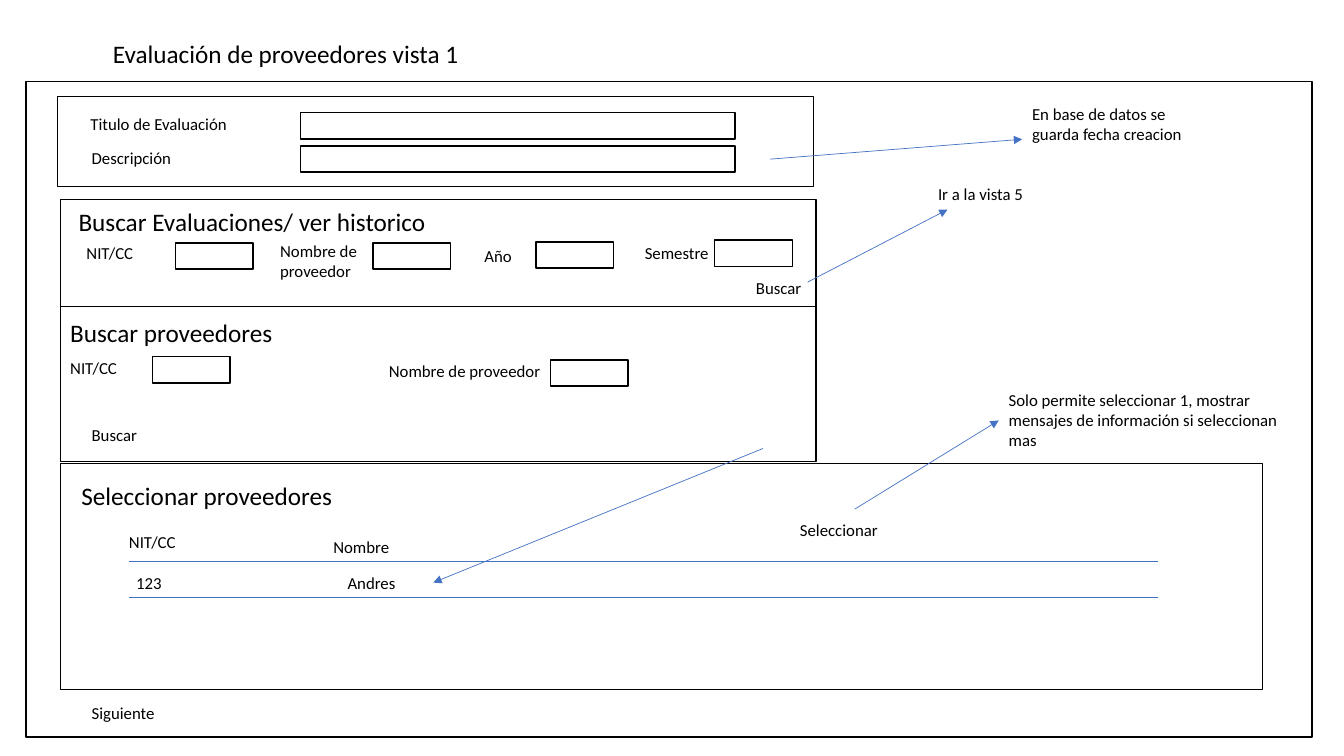
from dataclasses import dataclass
from typing import Optional

from lxml import etree
from pptx import Presentation
from pptx.dml.color import RGBColor
from pptx.enum import shapes, text
from pptx.oxml.ns import qn
from pptx.util import Cm, Pt

COLORS = {"ink": "000000", "accent": "4472C4"}
FONT = "Calibri"
HEADING, BODY = 18, 12
LINE_HEIGHT = {HEADING: 0.77, BODY: 0.51}
INSETS = 0.26
FIELD_HEIGHT = 0.66
SHORT_FIELD, LONG_FIELD = 1.96, 10.95
ROW_LEFT, ROW_RIGHT = 3.25, 29.18


@dataclass
class Frame:
    left: float
    top: float
    width: float
    height: float = FIELD_HEIGHT


@dataclass
class Label:
    words: str
    left: float
    top: float
    width: float = 3.56
    size: int = BODY
    lines: int = 1


@dataclass
class Line:
    x1: float
    y1: float
    x2: float
    y2: float
    arrow: bool = True
    target: Optional[str] = None


TITLE = Label("Evaluación de proveedores vista 1", 2.59, 0.84, 11.94, HEADING)
SINGLE_CHOICE = "Solo permite seleccionar 1, mostrar mensajes de información si seleccionan mas"

PANELS = [
    Frame(0.66, 2.06, 32.41, 16.51),
    Frame(1.45, 2.44, 19.05, 2.26),
    Frame(1.52, 5.03, 19.05, 2.69),
    Frame(1.52, 7.72, 19.05, 3.91),
    Frame(1.52, 11.68, 30.3, 5.69),
]
FIELDS = [Frame(7.57, top, LONG_FIELD) for top in (2.84, 3.68)] + [
    Frame(left, top, SHORT_FIELD)
    for left, top in ((4.42, 6.12), (9.4, 6.12), (13.51, 6.1), (18.01, 6.05),
                      (3.84, 8.99), (13.87, 9.07))
]
LABELS = [
    Label("Titulo de Evaluación", 2.03, 2.74, 4.72),
    Label("Descripción", 2.06, 3.61, 4.72),
    Label("Buscar Evaluaciones/ ver historico", 1.73, 5.08, 12.75, HEADING),
    Label("NIT/CC", 1.93, 5.99),
    Label("Nombre de proveedor", 6.81, 5.94, lines=2),
    Label("Año", 11.96, 6.07),
    Label("Semestre", 16, 5.99, 2.31),
    Label("Buscar", 18.8, 6.88),
    Label("Buscar proveedores", 1.52, 7.87, 7.9, HEADING),
    Label("NIT/CC", 1.52, 8.89),
    Label("Nombre de proveedor", 9.55, 8.97, 5.54),
    Label("Buscar", 2.06, 10.59),
    Label("Seleccionar proveedores", 1.8, 11.99, 7.9, HEADING),
    Label("NIT/CC", 3, 13.28),
    Label("Nombre", 8.15, 13.39),
    Label("Seleccionar", 19.91, 12.98, 4.7),
    Label("123", 3.18, 14.3),
    Label("Andres", 8.51, 14.3),
    Label("Siguiente", 2.06, 17.58),
    Label("En base de datos se guarda fecha creacion", 25.76, 2.49, 4.72, lines=2),
    Label("Ir a la vista 5", 23.39, 4.5, 7.49),
    Label(SINGLE_CHOICE, 25.17, 9.7, 7.49, lines=3),
]
LINES = [Line(ROW_LEFT, y, ROW_RIGHT, y, arrow=False) for y in (14.15, 15.06)] + [
    Line(19.41, 4.01, 25.76, 3.51),
    Line(20.35, 7.11, 23.88, 5.28),
    Line(19.23, 11.3, 10.92, 14.68),
    Line(21.54, 12.83, 25.17, 10.6, target=SINGLE_CHOICE),
]


def color(name: str) -> RGBColor:
    return RGBColor.from_string(COLORS[name])


def draw_frame(slide, frame: Frame) -> None:
    box = slide.shapes.add_shape(
        shapes.MSO_SHAPE.RECTANGLE,
        Cm(frame.left), Cm(frame.top), Cm(frame.width), Cm(frame.height))
    box.shadow.inherit = False
    box.fill.background()
    box.line.color.rgb = color("ink")
    box.line.width = Pt(1)


def write_label(box, label: Label) -> None:
    """Place a text box or the title placeholder and fill in its words."""
    box.left, box.top, box.width = Cm(label.left), Cm(label.top), Cm(label.width)
    box.height = Cm(label.lines * LINE_HEIGHT[label.size] + INSETS)
    frame = box.text_frame
    frame.word_wrap = True
    frame.auto_size = text.MSO_AUTO_SIZE.SHAPE_TO_FIT_TEXT
    frame.vertical_anchor = text.MSO_ANCHOR.TOP
    para = frame.paragraphs[0]
    para.text = label.words
    para.alignment = text.PP_ALIGN.LEFT
    para.font.name = FONT
    para.font.size = Pt(label.size)
    para.font.color.rgb = color("ink")


def draw_line(slide, line: Line, boxes: dict) -> None:
    connector = slide.shapes.add_connector(
        shapes.MSO_CONNECTOR.STRAIGHT,
        Cm(line.x1), Cm(line.y1), Cm(line.x2), Cm(line.y2))
    if line.target:
        connector.end_connect(boxes[line.target], 1)
    connector.line.color.rgb = color("accent")
    connector.line.width = Pt(0.5)
    if line.arrow:
        stroke = connector.line._get_or_add_ln()
        etree.SubElement(stroke, qn("a:tailEnd"), type="triangle")
    etree.SubElement(connector._element.spPr, qn("a:effectLst"))


def main() -> None:
    deck = Presentation()
    deck.slide_width, deck.slide_height = Cm(33.87), Cm(19.05)
    slide = deck.slides.add_slide(deck.slide_layouts[5])
    write_label(slide.shapes.title, TITLE)
    for frame in PANELS + FIELDS:
        draw_frame(slide, frame)
    boxes = {}
    for label in LABELS:
        box = slide.shapes.add_textbox(0, 0, 0, 0)
        write_label(box, label)
        boxes[label.words] = box
    for line in LINES:
        draw_line(slide, line, boxes)
    deck.save("out.pptx")


if __name__ == "__main__":
    main()
